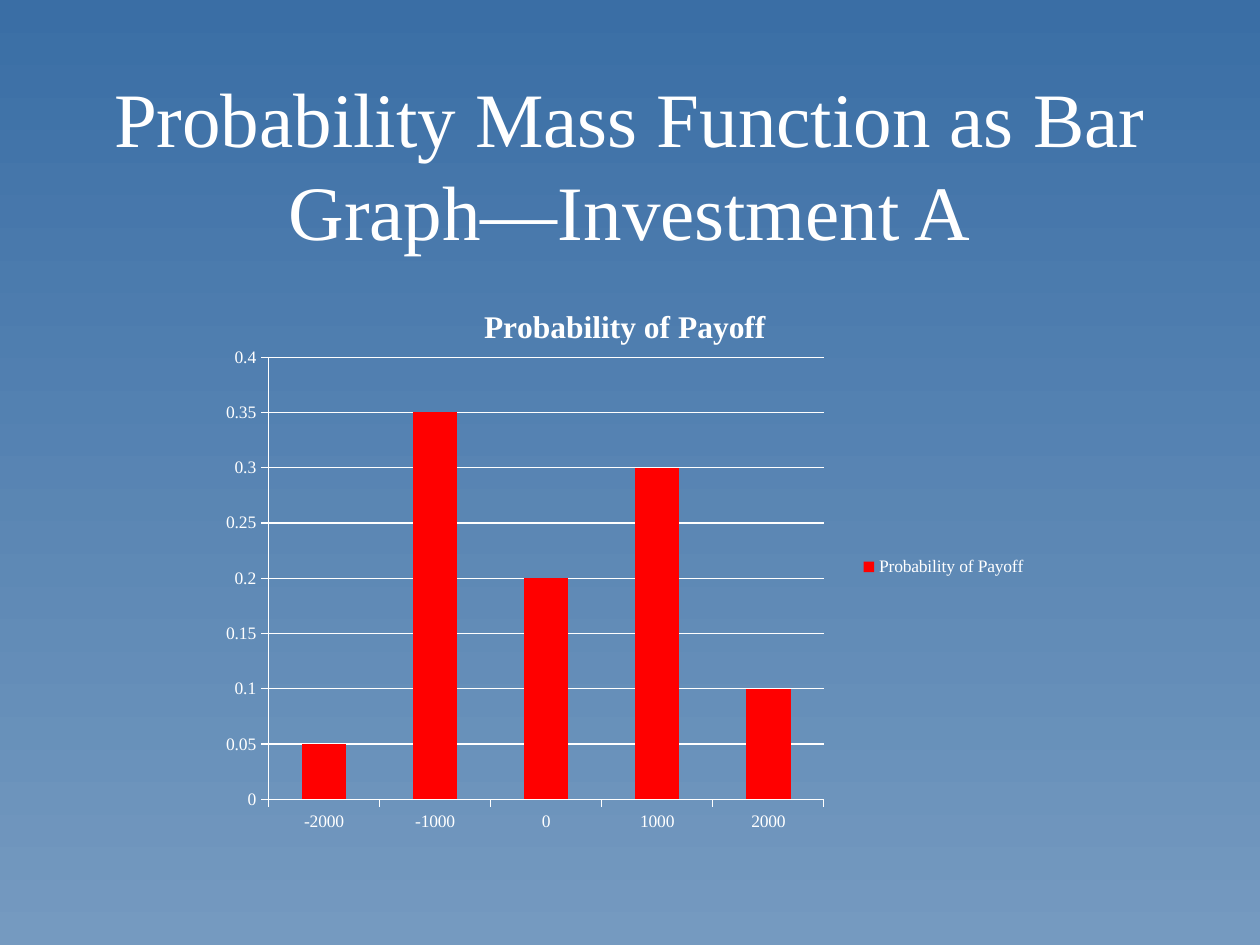
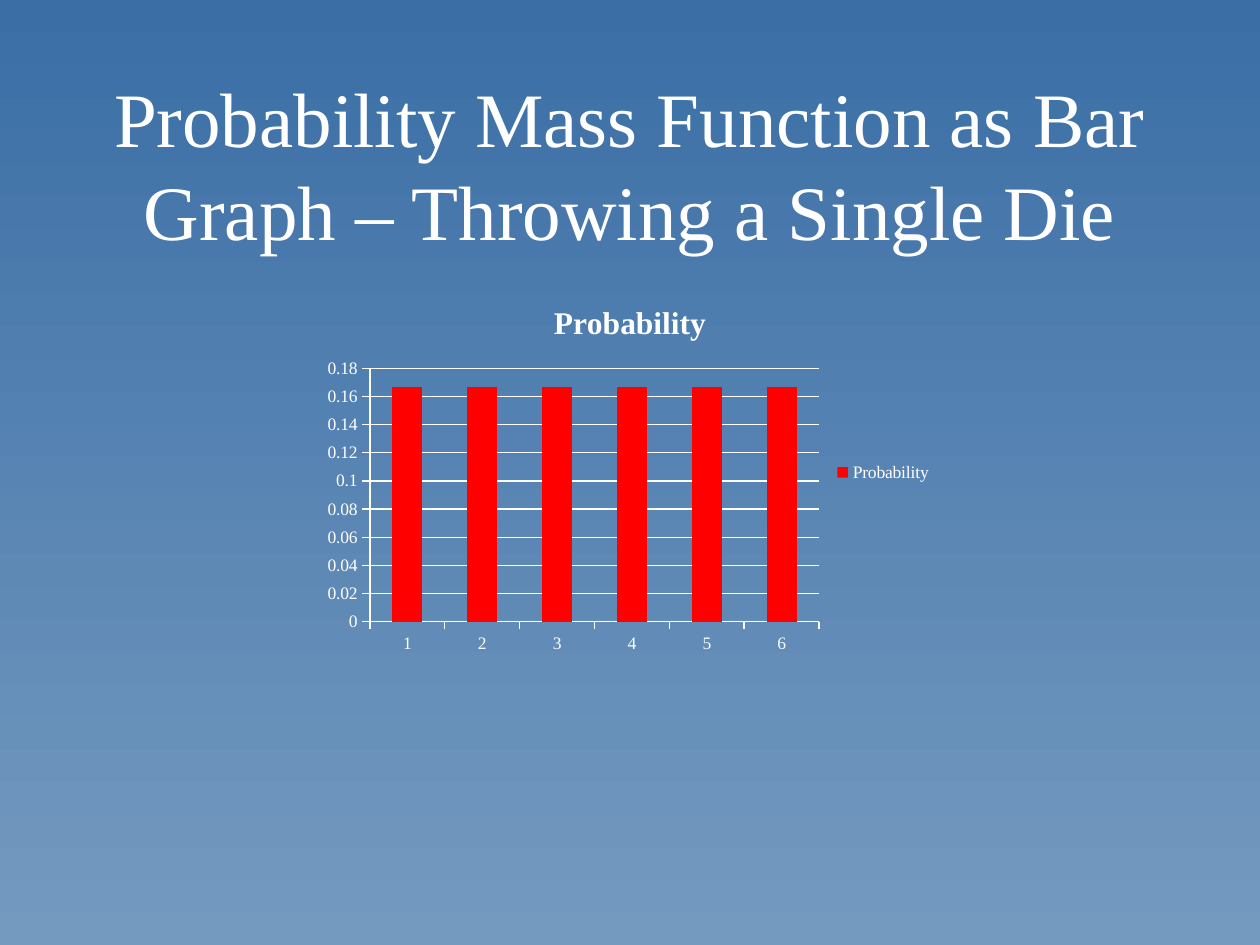
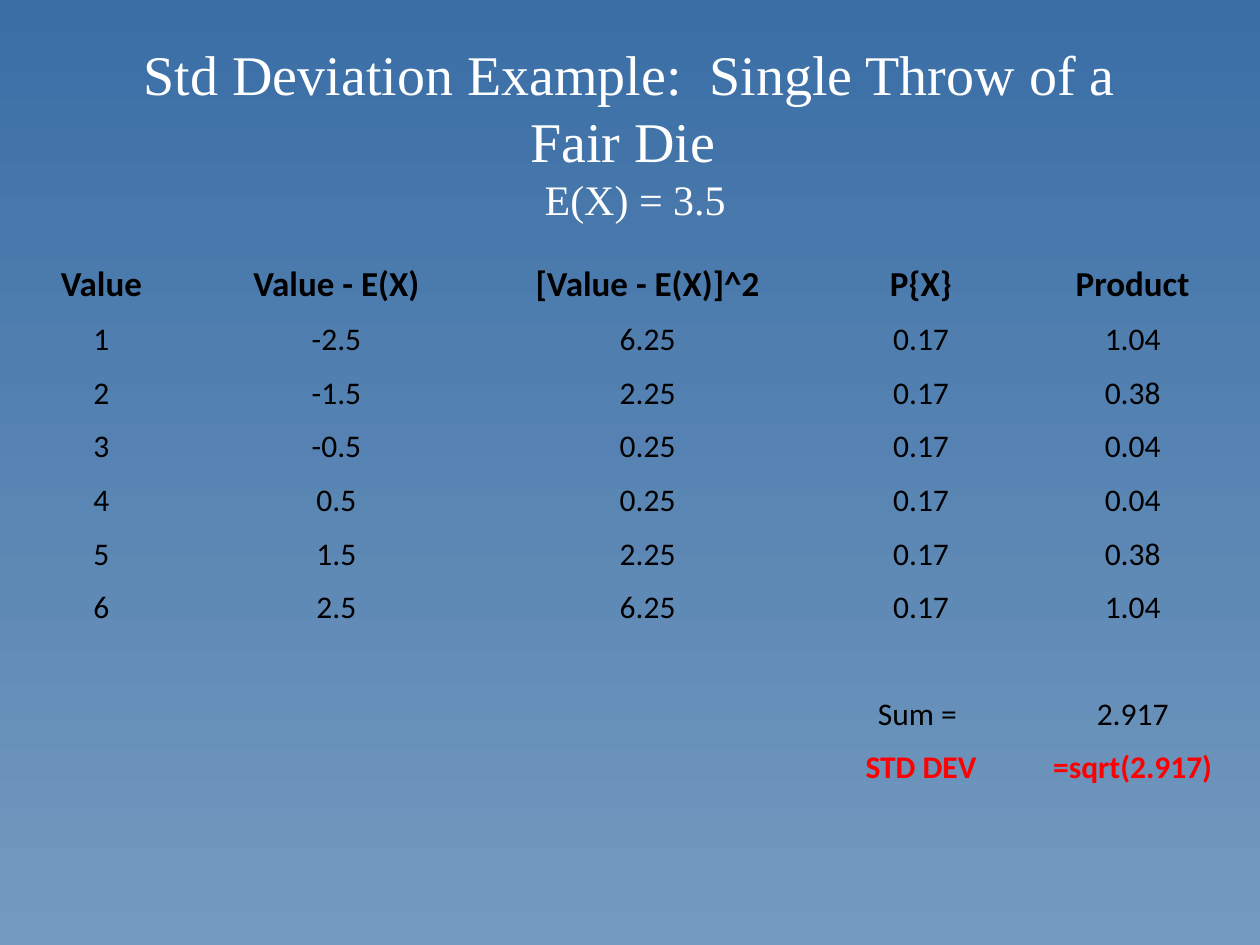
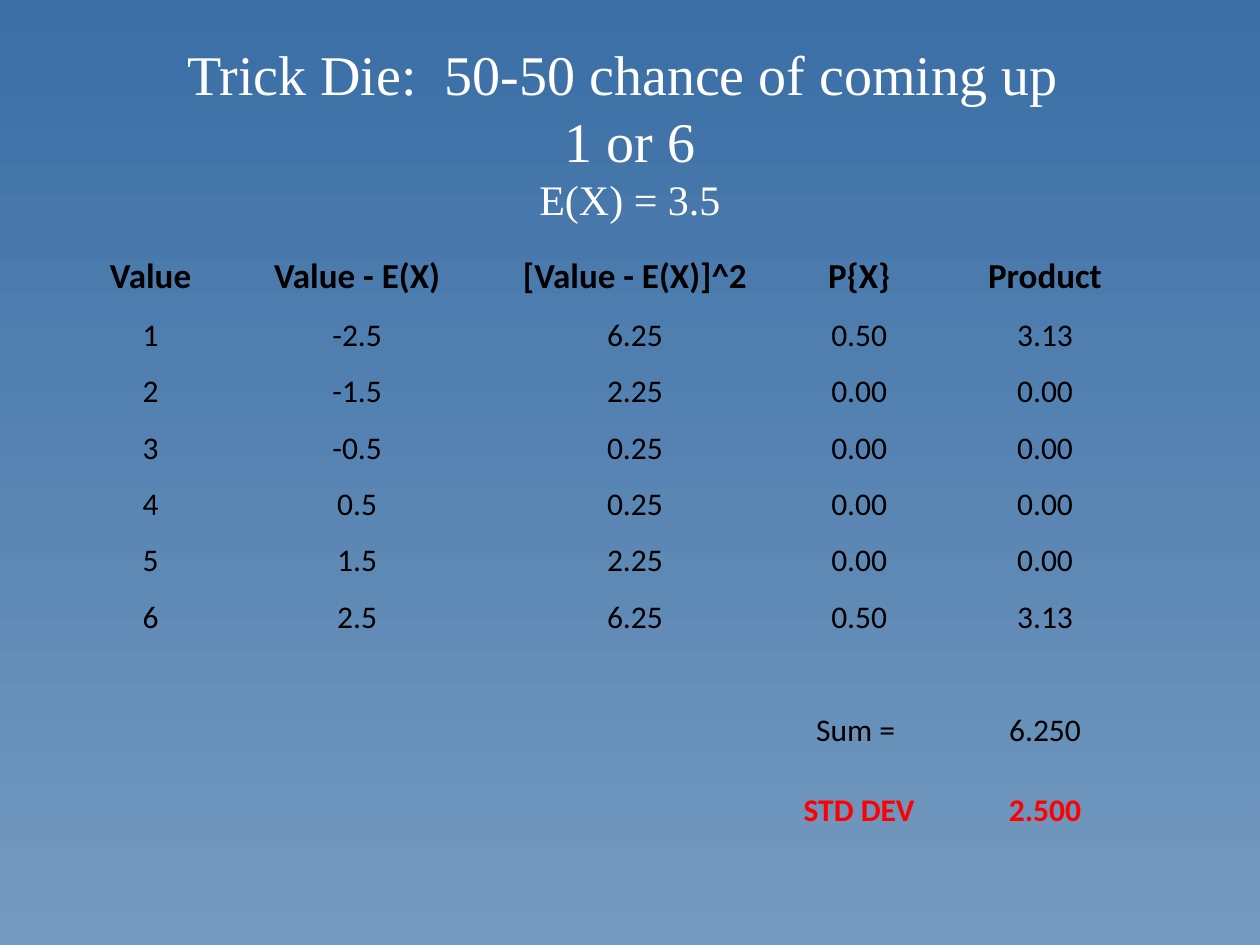
from pptx import Presentation
from pptx.chart.data import CategoryChartData
from pptx.dml.color import RGBColor
from pptx.enum.chart import XL_CHART_TYPE as ChartType
from pptx.enum.chart import XL_LEGEND_POSITION as LegendPosition
from pptx.enum.chart import XL_TICK_MARK as TickMark
from pptx.enum.text import MSO_ANCHOR as Anchor
from pptx.enum.text import PP_ALIGN as Align
from pptx.oxml import parse_xml
from pptx.oxml.ns import nsdecls
from pptx.util import Inches, Pt

# Shared look
WHITE = RGBColor(0xFF, 0xFF, 0xFF)
BLACK = RGBColor(0x00, 0x00, 0x00)
RED = RGBColor(0xFF, 0x00, 0x00)
SKY_TOP = RGBColor(0x3A, 0x6E, 0xA5)
SKY_BOTTOM = RGBColor(0x75, 0x9A, 0xC0)
SERIF = "Times New Roman"
SANS = "Calibri"
NO_STYLE = "{2D5ABB26-0587-4C30-8999-92F81FD0307C}"

# Table content
HEADER = ["Value", "Value - E(X)", "[Value - E(X)]^2", "P{X}", "Product"]
DEVIATIONS = [
    ["1", "-2.5", "6.25"],
    ["2", "-1.5", "2.25"],
    ["3", "-0.5", "0.25"],
    ["4", "0.5", "0.25"],
    ["5", "1.5", "2.25"],
    ["6", "2.5", "6.25"],
]


def set_font(font, size, color=WHITE, name=SERIF, bold=False):
    font.size = Pt(size)
    font.name = name
    font.bold = bold
    font.color.rgb = color


def add_text(para, text, **style):
    """Add text to a centred paragraph; each newline is a line break."""
    para.alignment = Align.CENTER
    for index, line in enumerate(text.split("\n")):
        if index:
            para.add_line_break()
        if line:
            span = para.add_run()
            span.text = line
            set_font(span.font, **style)


def paint_background(master):
    fill = master.background.fill
    fill.gradient()
    fill.gradient_angle = 270
    for stop, color in zip(fill.gradient_stops, (SKY_TOP, SKY_BOTTOM)):
        stop.color.rgb = color


def add_page(deck, title, top, height, size, subtitle=""):
    """Add a blank page with its title."""
    page = deck.slides.add_slide(deck.slide_layouts[6])
    box = page.shapes.add_textbox(Inches(0.75), Inches(top), Inches(8.5), Inches(height))
    frame = box.text_frame
    frame.word_wrap = True
    frame.vertical_anchor = Anchor.MIDDLE
    add_text(frame.paragraphs[0], title, size=size)
    if subtitle:
        add_text(frame.paragraphs[0], "\n" + subtitle, size=24)
    return page


def style_axis(axis):
    axis.major_tick_mark = TickMark.OUTSIDE
    axis.minor_tick_mark = TickMark.NONE
    axis.format.line.color.rgb = WHITE
    axis.format.line.width = Pt(0.75)
    set_font(axis.tick_labels.font, 10)


def place_plot(chart, x, y, w, h):
    """Fix the inner plot area, in fractions of the chart."""
    plot_area = chart._chartSpace.chart.plotArea
    for old in plot_area.findall("{*}layout"):
        plot_area.remove(old)
    parts = "".join(f'<c:{tag} val="{value}"/>' for tag, value in [
        ("layoutTarget", "inner"), ("xMode", "edge"), ("yMode", "edge"),
        ("x", x), ("y", y), ("w", w), ("h", h)])
    plot_area.insert(0, parse_xml(
        f'<c:layout {nsdecls("c")}><c:manualLayout>{parts}</c:manualLayout></c:layout>'))


def add_bar_graph(page, name, categories, values, area, plot=None):
    data = CategoryChartData()
    data.categories = categories
    data.add_series(name, values)
    chart = page.shapes.add_chart(
        ChartType.COLUMN_CLUSTERED, *map(Inches, area), data).chart
    set_font(chart.font, 10)

    chart.has_title = True
    add_text(chart.chart_title.text_frame.paragraphs[0], name, size=18, bold=True)
    chart.chart_title.include_in_layout = False
    chart.has_legend = True
    chart.legend.position = LegendPosition.RIGHT
    chart.legend.include_in_layout = False
    set_font(chart.legend.font, 10)

    style_axis(chart.category_axis)
    style_axis(chart.value_axis)
    grid = chart.value_axis.major_gridlines.format.line
    grid.color.rgb = WHITE
    grid.width = Pt(0.75)

    bars = chart.plots[0]
    bars.gap_width = 150
    bars.vary_by_categories = False
    fill = bars.series[0].format.fill
    fill.solid()
    fill.fore_color.rgb = RED
    if plot:
        place_plot(chart, *plot)


def fill_cell(cell, text, **style):
    cell.fill.background()
    if not text:
        return
    cell.margin_left = cell.margin_right = cell.margin_top = cell.margin_bottom = 0
    cell.vertical_anchor = Anchor.BOTTOM
    add_text(cell.text_frame.paragraphs[0], text, name=SANS, **style)


def add_deviation_table(page, chances, total, result, area, widths, last_height):
    """Chances holds (probability, product) for each value of the die."""
    rows = [HEADER]
    rows += [start + list(end) for start, end in zip(DEVIATIONS, chances)]
    rows += [[""] * 5, ["", "", "", "Sum = ", total], ["", "", "", "STD DEV", result]]

    table = page.shapes.add_table(len(rows), len(HEADER), *map(Inches, area)).table
    table.first_row = table.horz_banding = False
    table._tbl.tblPr.find("{*}tableStyleId").text = NO_STYLE
    for column, width in zip(table.columns, widths):
        column.width = Inches(width)

    last = len(rows) - 1
    row_height = (area[3] - last_height) / last
    for index, texts in enumerate(rows):
        table.rows[index].height = Inches(last_height if index == last else row_height)
        style = {"size": 20 if index == 0 else 18,
                 "color": RED if index == last else BLACK,
                 "bold": index in (0, last)}
        for column, text in enumerate(texts):
            fill_cell(table.cell(index, column), text, **style)


def main():
    deck = Presentation()
    deck.slide_width, deck.slide_height = Inches(10), Inches(7.5)
    paint_background(deck.slide_master)

    # Bar graphs
    graph_title = {"top": 0.67, "height": 1.25, "size": 44}
    page = add_page(deck, "Probability Mass Function as Bar Graph—Investment A", **graph_title)
    add_bar_graph(page, "Probability of Payoff",
                  ["-2000", "-1000", "0", "1000", "2000"], [0.05, 0.35, 0.2, 0.3, 0.1],
                  area=(1.67, 2.25, 6.58, 4.5), plot=(0.07, 0.13, 0.67, 0.78))

    page = add_page(deck, "Probability Mass Function as Bar Graph – Throwing a Single Die",
                    **graph_title)
    add_bar_graph(page, "Probability", ["1", "2", "3", "4", "5", "6"], [0.167] * 6,
                  area=(2.5, 2.25, 5, 3))

    # Standard deviation tables
    table_title = {"top": 0.17, "height": 1.75, "size": 32}
    page = add_page(deck, "Std Deviation Example:  Single Throw of a Fair Die ",
                    subtitle=" E(X) = 3.5", **table_title)
    products = ["1.04", "0.38", "0.04"]
    add_deviation_table(page, [("0.17", product) for product in products + products[::-1]],
                        "2.917", "=sqrt(2.917)", area=(0.08, 2, 9.75, 4.25),
                        widths=(1.45, 2.28, 2.66, 1.68, 1.68), last_height=0.42)

    page = add_page(deck, "Trick Die:  50-50 chance of coming up \n1 or 6",
                    subtitle="E(X) = 3.5", **table_title)
    certain, never = ("0.50", "3.13"), ("0.00", "0.00")
    add_deviation_table(page, [certain, *[never] * 4, certain],
                        "6.250", "2.500", area=(0.5, 1.92, 8.75, 4.67),
                        widths=(1.39, 1.89, 2.52, 1.04, 1.91), last_height=0.64)

    deck.save("out.pptx")


if __name__ == "__main__":
    main()
